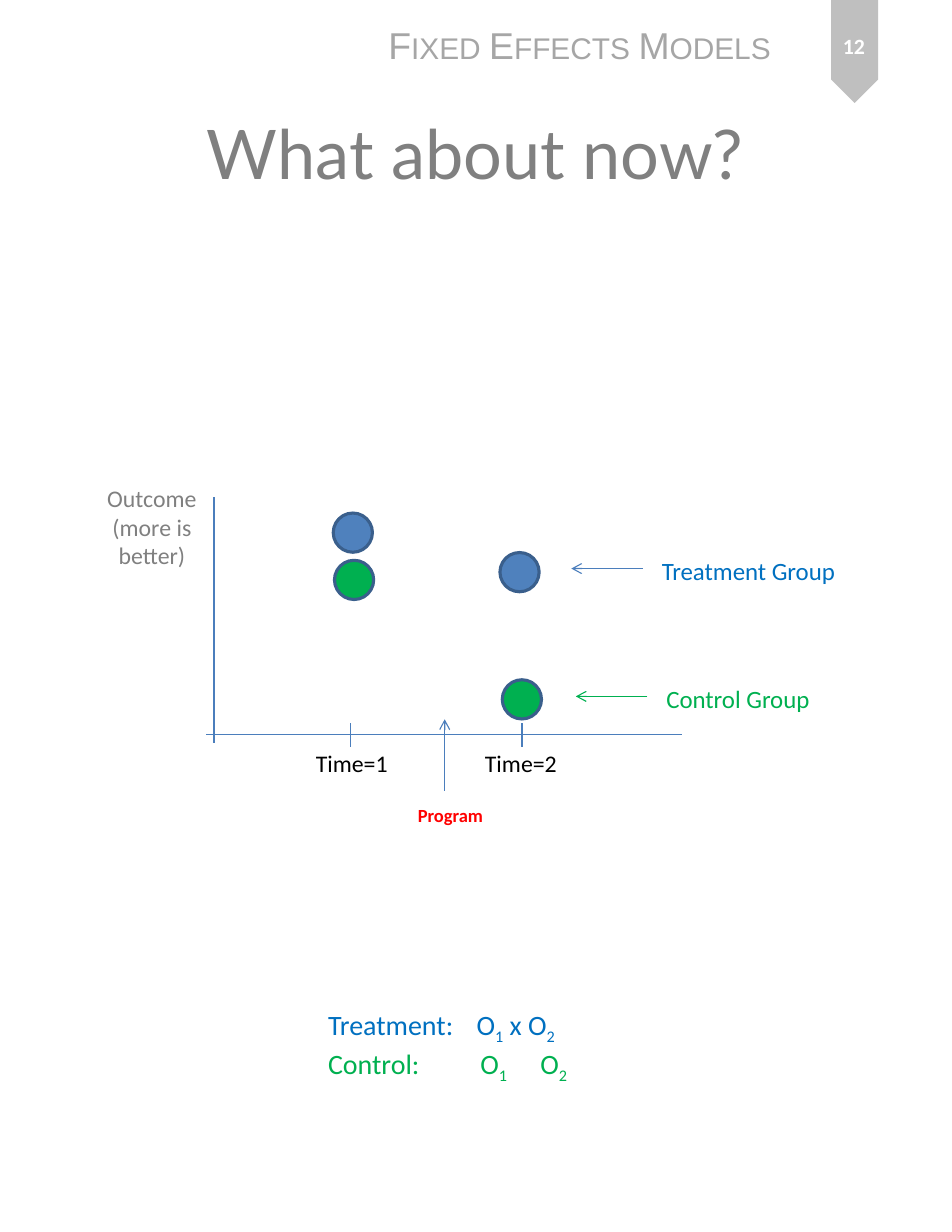
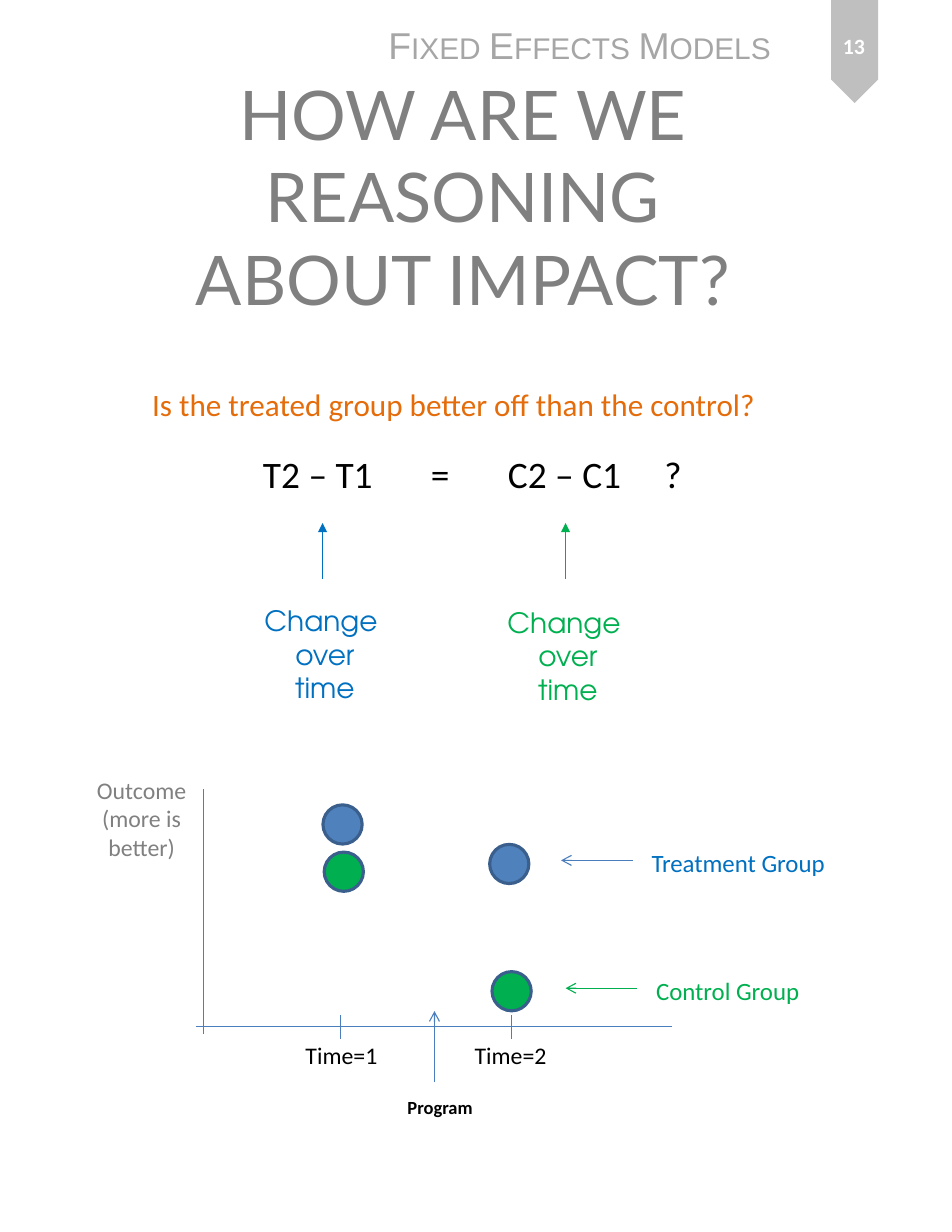
from pptx import Presentation
from pptx.dml.color import RGBColor
from pptx.enum.shapes import MSO_CONNECTOR, MSO_SHAPE
from pptx.enum.text import MSO_ANCHOR, MSO_AUTO_SIZE, PP_ALIGN
from pptx.oxml.ns import qn
from pptx.util import Pt
from lxml import etree

LINE = MSO_CONNECTOR.STRAIGHT
OVAL, TAG = MSO_SHAPE.OVAL, MSO_SHAPE.PENTAGON
LEFT, CENTER = PP_ALIGN.LEFT, PP_ALIGN.CENTER
TOP, MIDDLE = MSO_ANCHOR.TOP, MSO_ANCHOR.MIDDLE
GROW, FIXED = MSO_AUTO_SIZE.SHAPE_TO_FIT_TEXT, MSO_AUTO_SIZE.NONE

BLACK = RGBColor(0x00, 0x00, 0x00)
WHITE = RGBColor(0xFF, 0xFF, 0xFF)
GRAY = RGBColor(0x80, 0x80, 0x80)
PALE = RGBColor(0xA6, 0xA6, 0xA6)
SILVER = RGBColor(0xBF, 0xBF, 0xBF)
STEEL = RGBColor(0x4F, 0x81, 0xBD)
NAVY = RGBColor(0x3A, 0x5F, 0x8C)
AXIS = RGBColor(0x4B, 0x7E, 0xBC)
BLUE = RGBColor(0x00, 0x70, 0xC0)
GREEN = RGBColor(0x00, 0xB0, 0x50)
RED = RGBColor(0xFF, 0x00, 0x00)
ORANGE = RGBColor(0xE4, 0x6C, 0x0A)

BODY, HEAD, BAND, ROUND = "Calibri", "Lato", "Arial", "TeX Gyre Adventor"
DOT = 25.2


class Deck:
    def __init__(self):
        self.prs = Presentation()
        self.prs.slide_width, self.prs.slide_height = Pt(612), Pt(792)
        self.slide = None

    def page(self, num, title, x, y):
        """Start a slide with its band, page tag and title."""
        self.slide = self.prs.slides.add_slide(self.prs.slide_layouts[6])
        self.shape(TAG, 516.25, 18, 66.2, 30.2, SILVER, turn=90)
        self.text("Fixed Effects Models", 242.6, 10.8, 265, 36,
                  size=24, font=BAND, color=PALE, small=True)
        self.text(title, x, y, 550.8, 131.8, size=44, font=HEAD, color=GRAY,
                  align=CENTER, anchor=MIDDLE, wrap=True)
        self.text(str(num), 524.9, 7.9, 48.2, 42.5, size=14, color=WHITE,
                  bold=True, align=CENTER, anchor=MIDDLE, wrap=True)

    def text(self, text, x, y, w, h, size=16, font=BODY, color=BLACK,
             bold=False, small=False, align=LEFT, anchor=TOP, wrap=False,
             tabs=()):
        """Newline parts paragraphs, \\v breaks a line, _ lowers one character.

        color and tabs may hold one entry per paragraph.
        """
        box = self.slide.shapes.add_textbox(Pt(x), Pt(y), Pt(w), Pt(h))
        frame = box.text_frame
        frame.word_wrap = wrap
        frame.auto_size = FIXED if wrap else GROW
        frame.vertical_anchor = anchor
        for i, row in enumerate(text.split("\n")):
            para = frame.paragraphs[0] if i == 0 else frame.add_paragraph()
            para.alignment = align
            if tabs:
                self.stops(para, tabs[i])
            tint = color[i] if isinstance(color, list) else color
            for j, part in enumerate(row.split("\v")):
                if j:
                    para.add_line_break()
                for k, bit in enumerate(part.split("_")):
                    pair = ((bit[:1], -25000), (bit[1:], 0)) if k else ((bit, 0),)
                    for word, base in pair:
                        if not word:
                            continue
                        run = para.add_run()
                        run.text = word
                        run.font.size, run.font.name = Pt(size), font
                        run.font.bold = bold
                        run.font.color.rgb = tint
                        props = run._r.get_or_add_rPr()
                        if base:
                            props.set("baseline", str(base))
                        if small:
                            props.set("cap", "small")

    def stops(self, para, spots):
        tabs = etree.SubElement(para._p.get_or_add_pPr(), qn("a:tabLst"))
        for spot in spots:
            etree.SubElement(tabs, qn("a:tab"), pos=str(Pt(spot)), algn="l")

    def shape(self, kind, x, y, w, h, fill, edge=None, turn=0):
        item = self.slide.shapes.add_shape(kind, Pt(x), Pt(y), Pt(w), Pt(h))
        item.shadow.inherit = False
        item.rotation = turn
        item.fill.solid()
        item.fill.fore_color.rgb = fill
        if edge is None:
            item.line.fill.background()
        else:
            item.line.color.rgb = edge
            item.line.width = Pt(2)

    def line(self, x1, y1, x2, y2, color=AXIS, tip=None):
        item = self.slide.shapes.add_connector(LINE, Pt(x1), Pt(y1), Pt(x2), Pt(y2))
        item.line.color.rgb = color
        item.line.width = Pt(0.75)
        props = item._element.spPr
        if tip:
            etree.SubElement(props.get_or_add_ln(), qn("a:tailEnd"), type=tip)
        etree.SubElement(props, qn("a:effectLst"))

    def graph(self, x, y, note):
        """Draw outcomes over time; x, y is where the axes cross."""
        # Axes and ticks
        self.line(x, y - 152.6, x, y + 5)
        self.line(x - 5, y, x + 301, y)
        self.text("Outcome\v(more is\vbetter)", x - 76.3, y - 165, 72.7, 62.6,
                  size=15.3, color=GRAY, align=CENTER)
        for i, (tick, left) in enumerate(((87.9, 58.3), (198, 167)), 1):
            self.line(x + tick, y - 7.4, x + tick, y + 7.8)
            self.text(f"Time={i}", x + left, y + 5.6, 61.2, 25.9, size=15.3)

        # Program
        self.line(x + 148.3, y + 35.8, x + 148.3, y - 10, tip="arrow")
        self.text("Program", x + 123.9, y + 41, 57.6, 21.6,
                  size=11.9, color=note, bold=True)

        # Outcomes of both groups
        for dx, dy, fill in ((76.6, -142.6, STEEL), (183.8, -117.2, STEEL),
                             (77.4, -112.2, GREEN), (185.3, -35.4, GREEN)):
            self.shape(OVAL, x + dx, y + dy, DOT, DOT, fill, edge=NAVY)

        # Group labels
        for name, dx, dy, wide, tint, ink in (
                ("Treatment", 229.7, -106.9, 127.4, AXIS, BLUE),
                ("Control", 232.6, -24.7, 108, GREEN, GREEN)):
            self.line(x + dx + 46, y + dy, x + dx, y + dy, tint, tip="arrow")
            self.text(f"{name} Group", x + dx + 51.1, y + dy - 11.6, wide, 26.6,
                      color=ink)


def main():
    deck = Deck()

    # Outcomes and design notation
    deck.page(12, "What about now?", 30.2, 31.7)
    deck.graph(137.6, 472.4, RED)
    deck.text("Treatment:\tO_1 x O_2\nControl:\tO_1\tO_2", 203.8, 644.4, 172.8, 51.1,
              size=18, color=[BLUE, GREEN], wrap=True,
              tabs=[(95.5,), (98, 136.5)])

    # Reasoning about impact
    deck.page(13, "HOW ARE WE REASONING\vABOUT IMPACT?", 22.3, 59.8)
    deck.graph(131, 660, BLACK)
    deck.text("Is the treated group better off than the control?",
              90.7, 244.1, 411.1, 31.7, size=20, color=ORANGE)
    deck.text("T2 – T1\t=\tC2 – C1\t?", 162, 286.6, 290.9, 36, size=24,
              wrap=True, tabs=[(108, 157.5, 258)])
    for x, y, ink in ((207.4, 384.5, BLUE), (363.6, 385.6, GREEN)):
        deck.line(x, 372.2, x, 336.2, ink, tip="triangle")
        deck.text("Change \nover\vtime", x - 45, y, 92.9, 72.7,
                  size=18, font=ROUND, color=ink, align=CENTER)

    deck.prs.save("out.pptx")


if __name__ == "__main__":
    main()
